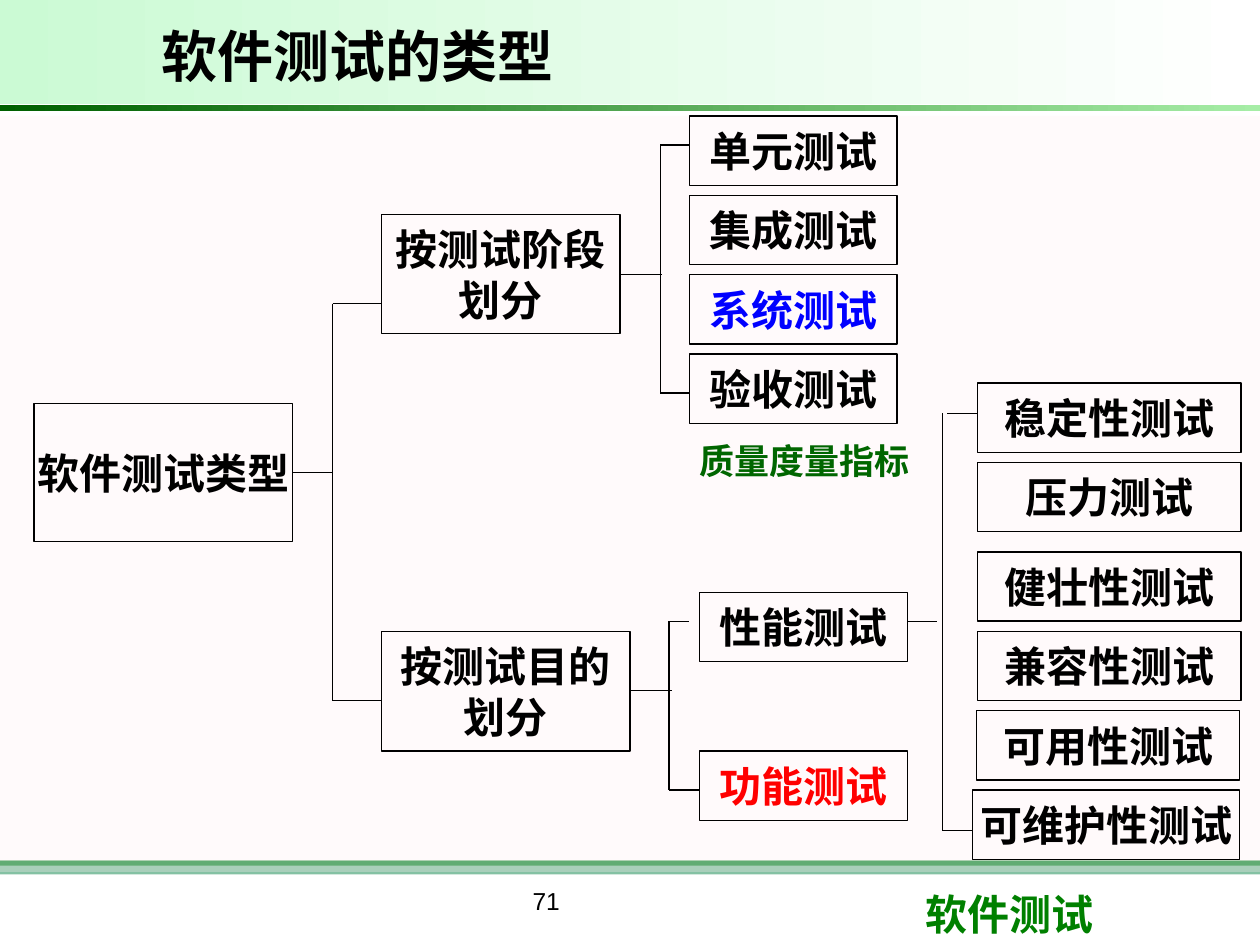
from pptx import Presentation
from pptx.dml.color import RGBColor
from pptx.enum.shapes import MSO_CONNECTOR as CONN, MSO_SHAPE as SHAPE
from pptx.enum.text import MSO_ANCHOR as ANCHOR, MSO_AUTO_SIZE as AUTO, PP_ALIGN as ALIGN
from pptx.oxml.ns import qn
from pptx.util import Inches, Pt
from lxml.etree import SubElement

THEME = {
    "black": "000000", "blue": "0000FF", "red": "FF0000",
    "footer": "008000", "note": "006600",
    "rule": "008000", "band": "339966", "page": "FFF0F5",
    "header": ("CBFAD4", "FFFFFF"), "header_rule": ("006000", "A6EDA6"),
    "font": "Arial", "cjk": "Noto Sans CJK SC",
    "title_size": 32, "node_size": 24, "note_size": 20, "number_size": 14,
}


def write(shape, text, size, color="black", bold=True, align=ALIGN.LEFT,
          anchor=ANCHOR.TOP, wrap=True, font="font"):
    tf = shape.text_frame
    tf.text = text
    frame = {"word_wrap": wrap, "vertical_anchor": anchor, "auto_size": AUTO.NONE}
    for name, value in frame.items():
        setattr(tf, name, value)
    look = {"name": THEME[font], "size": Pt(THEME[size]), "bold": bold}
    for p in tf.paragraphs:
        p.alignment = align
        for r in p.runs:
            for name, value in look.items():
                setattr(r.font, name, value)
            r.font.color.rgb = RGBColor.from_string(THEME[color])


def add_rect(x, y, w, h):
    sp = s.shapes.add_shape(SHAPE.RECTANGLE, Inches(x), Inches(y), Inches(w), Inches(h))
    sp.shadow.inherit = False
    sp.fill.background()
    sp.line.fill.background()
    return sp


prs = Presentation()
prs.slide_width, prs.slide_height = Inches(10), Inches(7.5)
s = prs.slides.add_slide(prs.slide_layouts[5])
title = s.shapes.title

bands = [
    ("rule", 6.83, 0.04, 100),
    ("band", 6.83, 0.11, 60),
    ("page", 0.92, 6, 30),
]
for color, y, h, alpha in bands:
    fill = add_rect(0, y, 10, h).fill
    fill.solid()
    fill.fore_color.rgb = RGBColor.from_string(THEME[color])
    rgb = fill._xPr.find(qn("a:solidFill"))[0]
    SubElement(rgb, qn("a:alpha"), val=str(alpha * 1000))

for colors, y, h in [("header", 0, 0.83), ("header_rule", 0.83, 0.05)]:
    fill = add_rect(0, y, 10, h).fill
    fill.gradient()
    fill.gradient_angle = 0
    for stop, color, position in zip(fill.gradient_stops, THEME[colors], (0, 1)):
        stop.color.rgb = RGBColor.from_string(color)
        stop.position = position

s.shapes._spTree.append(title._element)
place = {"left": 1.18, "top": 0.08, "width": 6.97, "height": 0.71}
for name, value in place.items():
    setattr(title, name, Inches(value))
write(title, "软件测试的类型", "title_size", anchor=ANCHOR.MIDDLE)

nodes = [
    ("软件测试类型", 0.27, 3.2, 2.05, 1.1, "black"),
    ("按测试阶段\n划分", 3.03, 1.7, 1.89, 0.95, "black"),
    ("按测试目的\n划分", 3.03, 5.01, 1.97, 0.95, "black"),
    ("性能测试", 5.55, 4.7, 1.65, 0.55, "black"),
    ("功能测试", 5.55, 5.96, 1.65, 0.55, "red"),
    ("稳定性测试", 7.76, 3.04, 2.09, 0.55, "black"),
    ("压力测试", 7.76, 3.67, 2.09, 0.55, "black"),
    ("健壮性测试", 7.76, 4.38, 2.09, 0.55, "black"),
    ("兼容性测试", 7.76, 5.01, 2.09, 0.55, "black"),
    ("可用性测试", 7.75, 5.64, 2.09, 0.55, "black"),
    ("可维护性测试", 7.72, 6.27, 2.12, 0.55, "black"),
]
stages = [("单元测试", "black"), ("集成测试", "black"), ("系统测试", "blue"), ("验收测试", "black")]
for i, (text, color) in enumerate(stages):
    nodes.append((text, 5.47, 0.92 + 0.63 * i, 1.65, 0.55, color))

for text, x, y, w, h, color in nodes:
    sp = add_rect(x, y, w, h)
    sp.line.color.rgb = RGBColor.from_string(THEME["black"])
    sp.line.width = Pt(0.75)
    write(sp, text, "node_size", color, align=ALIGN.CENTER, anchor=ANCHOR.MIDDLE, wrap=False)

brackets = [
    (2.64, (2.32, 2.64, 3.75), (2.64, 3.03, 2.41), (2.64, 3.03, 5.56)),
    (5.24, (4.92, 5.25, 2.18), (5.24, 5.47, 1.15), (5.24, 5.47, 3.12)),
    (5.31, (5, 5.33, 5.48), (5.31, 5.47, 4.93), (5.31, 5.55, 6.27)),
    (7.48, (7.2, 7.44, 4.93), (7.52, 7.76, 3.28), (7.48, 7.72, 6.59)),
]
for spine, stem, upper, lower in brackets:
    lines = [(x1, y, x2, y) for x1, x2, y in (stem, upper, lower)]
    lines.append((spine, upper[2], spine, lower[2]))
    for ends in lines:
        line = s.shapes.add_connector(CONN.STRAIGHT, *map(Inches, ends))
        line.line.color.rgb = RGBColor.from_string(THEME["black"])
        line.line.width = Pt(0.75)
        SubElement(line._element.spPr, qn("a:effectLst"))

note = s.shapes.add_textbox(Inches(5.45), Inches(3.36), Inches(1.88), Inches(0.5))
write(note, "质量度量指标", "note_size", "note", wrap=False, font="cjk")
note.text_frame.paragraphs[0].line_spacing = 1.25

number = s.shapes.add_textbox(Inches(2.75), Inches(6.98), Inches(3.17), Inches(0.52))
write(number, "71", "number_size", bold=False, align=ALIGN.CENTER)

footer = s.shapes.add_textbox(Inches(7.25), Inches(7), Inches(2.37), Inches(0.5))
write(footer, "软件测试", "node_size", "footer")

prs.save("out.pptx")
